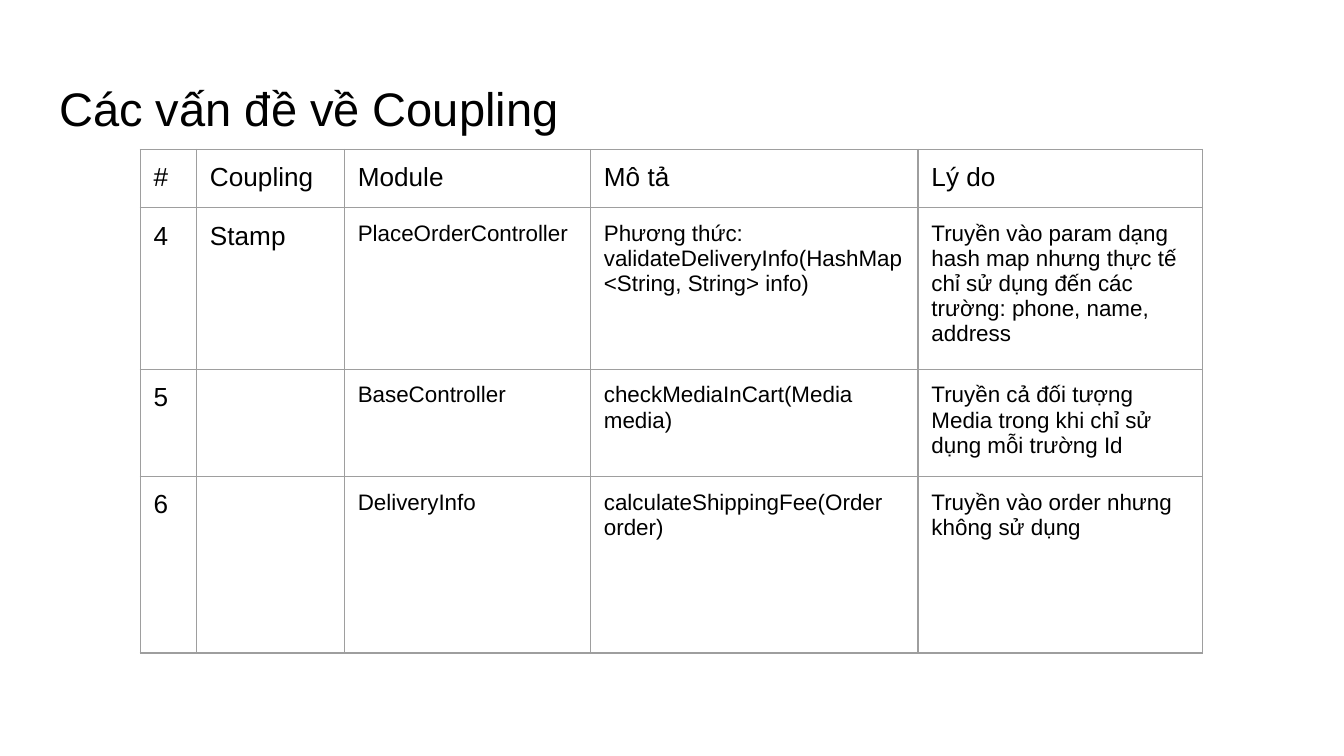
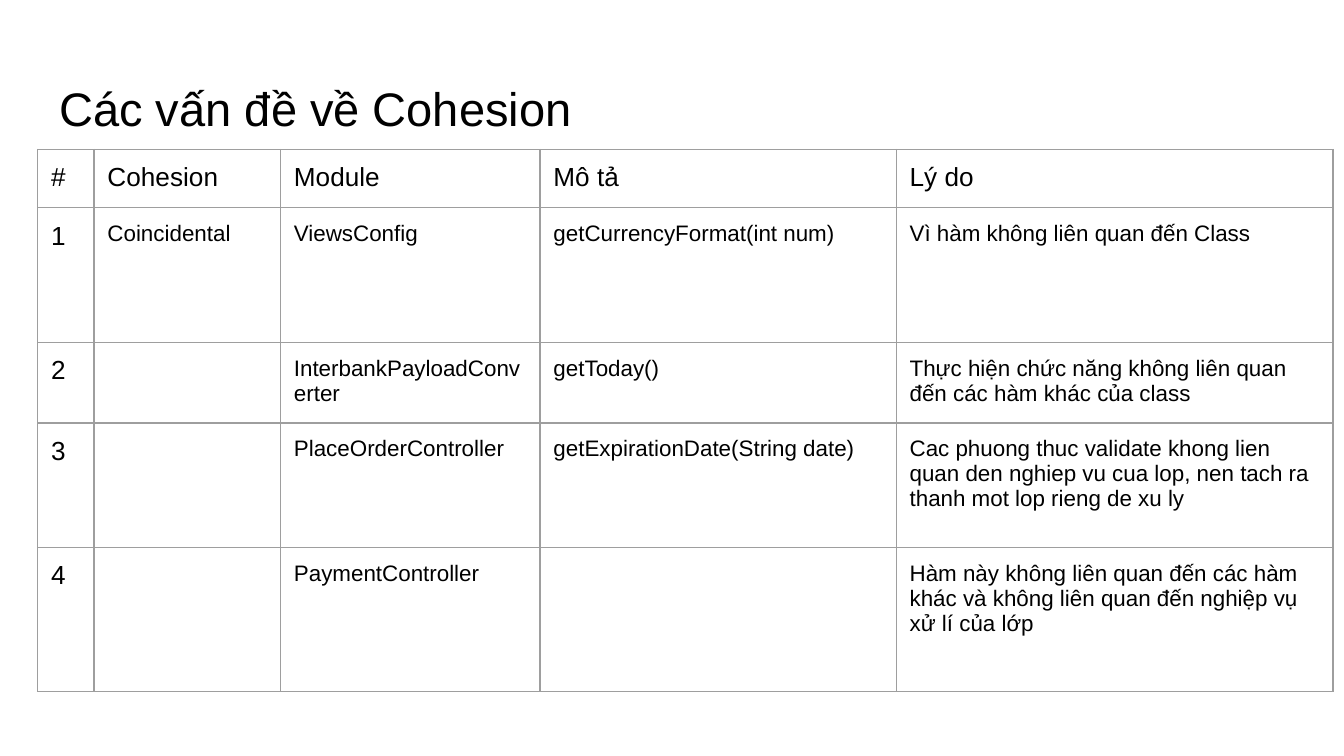
from lxml.etree import SubElement
from pptx import Presentation
from pptx.dml.color import RGBColor
from pptx.enum.text import MSO_ANCHOR, PP_ALIGN
from pptx.oxml.ns import qn
from pptx.util import Pt

EMU_PER_PX = 5715  # 160 px to the inch
SLIDE_SIZE = (1600, 900)
COLORS = {"background": "FFFFFF", "text": "000000", "border": "9E9E9E"}
FONT = "Arial"
INSET = 16
TITLE_BOX = (55, 78, 1491, 100)
TITLE_SIZE, LABEL_SIZE, DETAIL_SIZE = 25.2, 14, 12
TABLE_TOP = 178
TABLE_FRAME = 525  # nominal frame side; columns and rows set the drawn size
BORDER_WIDTH = 0.75

COUPLING = {
    "title": "Các vấn đề về Coupling",
    "left": 167,
    "columns": [67, 176, 293, 390, 339],
    "rows": [54, 126, 102, 210],
    "kind_size": LABEL_SIZE,
    "entries": [
        ["#", "Coupling", "Module", "Mô tả", "Lý do"],
        ["4", "Stamp", "PlaceOrderController",
         "Phương thức: validateDeliveryInfo(HashMap<String, String> info)",
         "Truyền vào param dạng hash map nhưng thực tế chỉ sử dụng đến các "
         "trường: phone, name, address"],
        ["5", "", "BaseController", "checkMediaInCart(Media media)",
         "Truyền cả đối tượng Media trong khi chỉ sử dụng mỗi trường Id"],
        ["6", "", "DeliveryInfo", "calculateShippingFee(Order order)",
         "Truyền vào order nhưng không sử dụng"],
    ],
}
COHESION = {
    "title": "Các vấn đề về Cohesion",
    "left": 45,
    "columns": [67, 222, 309, 424, 520],
    "rows": [69, 160, 96, 148, 172],
    "kind_size": DETAIL_SIZE,
    "entries": [
        ["#", "Cohesion", "Module", "Mô tả", "Lý do"],
        ["1", "Coincidental", "ViewsConfig", "getCurrencyFormat(int num)",
         "Vì hàm không liên quan đến Class"],
        ["2", "", "InterbankPayloadConverter", "getToday()",
         "Thực hiện chức năng không liên quan đến các hàm khác của class"],
        ["3", "", "PlaceOrderController", "getExpirationDate(String date)",
         "Cac phuong thuc validate khong lien quan den nghiep vu cua lop, "
         "nen tach ra thanh mot lop rieng de xu ly"],
        ["4", "", "PaymentController", "",
         "Hàm này không liên quan đến các hàm khác và không liên quan đến "
         "nghiệp vụ xử lí của lớp"],
    ],
}


def px(length):
    return length * EMU_PER_PX


def set_all(target, values):
    for name, value in values.items():
        setattr(target, name, value)


def set_insets(target):
    for side in ("left", "right", "top", "bottom"):
        setattr(target, f"margin_{side}", px(INSET))


def write(frame, text, size, align=PP_ALIGN.LEFT):
    paragraph = frame.paragraphs[0]
    paragraph.alignment = align
    run = paragraph.add_run()
    run.text = text
    set_all(run.font, {"name": FONT, "size": Pt(size), "bold": False})
    run.font.color.rgb = RGBColor.from_string(COLORS["text"])


def add_title(slide, text):
    frame = slide.shapes.add_textbox(*map(px, TITLE_BOX)).text_frame
    set_all(frame, {"word_wrap": True, "vertical_anchor": MSO_ANCHOR.MIDDLE})
    set_insets(frame)
    write(frame, text, TITLE_SIZE)


def outline_cell(cell):
    """Draw all four borders; they must precede the fill in the cell's XML."""
    properties = cell._tc.get_or_add_tcPr()
    for side in ("lnL", "lnR", "lnT", "lnB"):
        line = SubElement(properties, qn(f"a:{side}"), w=str(Pt(BORDER_WIDTH)))
        fill = SubElement(line, qn("a:solidFill"))
        SubElement(fill, qn("a:srgbClr"), val=COLORS["border"])


def cell_format(row, column, kind_size):
    """Headings and numbers are large; the first two columns are justified."""
    if row == 0 or column == 0:
        return LABEL_SIZE, PP_ALIGN.JUSTIFY
    if column == 1:
        return kind_size, PP_ALIGN.JUSTIFY
    return DETAIL_SIZE, PP_ALIGN.LEFT


def add_issue_table(slide, issues):
    widths, heights = issues["columns"], issues["rows"]
    frame = slide.shapes.add_table(
        len(heights), len(widths), px(issues["left"]), px(TABLE_TOP),
        px(TABLE_FRAME), px(TABLE_FRAME))
    table = frame.table
    set_all(table, {"first_row": False, "horz_banding": False})
    for column, width in zip(table.columns, widths):
        column.width = px(width)
    for row, height in zip(table.rows, heights):
        row.height = px(height)
    set_all(frame, {"width": px(TABLE_FRAME), "height": px(TABLE_FRAME)})
    for r, entry in enumerate(issues["entries"]):
        for c, text in enumerate(entry):
            cell = table.cell(r, c)
            set_insets(cell)
            outline_cell(cell)
            cell.fill.background()
            if text:
                write(cell.text_frame, text,
                      *cell_format(r, c, issues["kind_size"]))


def add_issue_slide(deck, issues):
    slide = deck.slides.add_slide(deck.slide_layouts[6])
    slide.background.fill.solid()
    slide.background.fill.fore_color.rgb = RGBColor.from_string(
        COLORS["background"])
    add_title(slide, issues["title"])
    add_issue_table(slide, issues)


def main():
    deck = Presentation()
    deck.slide_width, deck.slide_height = map(px, SLIDE_SIZE)
    for issues in (COUPLING, COHESION):
        add_issue_slide(deck, issues)
    deck.save("out.pptx")


if __name__ == "__main__":
    main()
